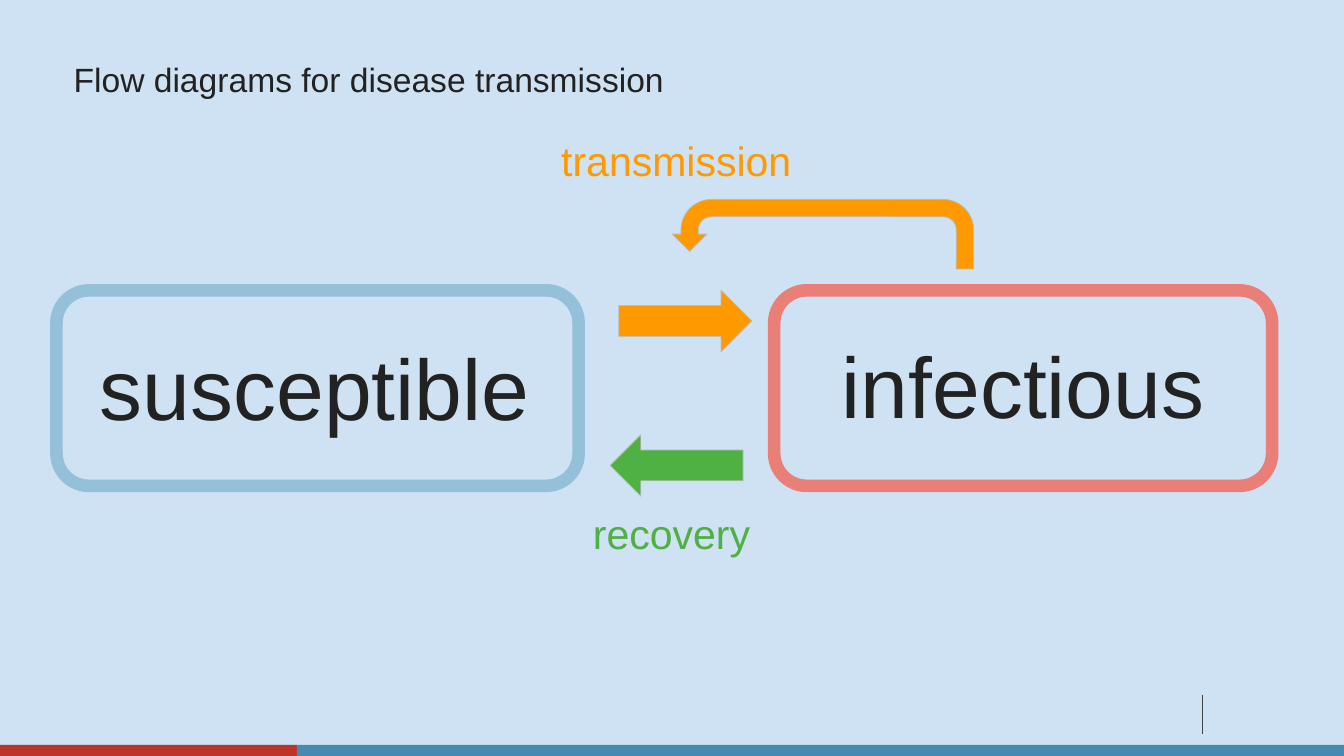
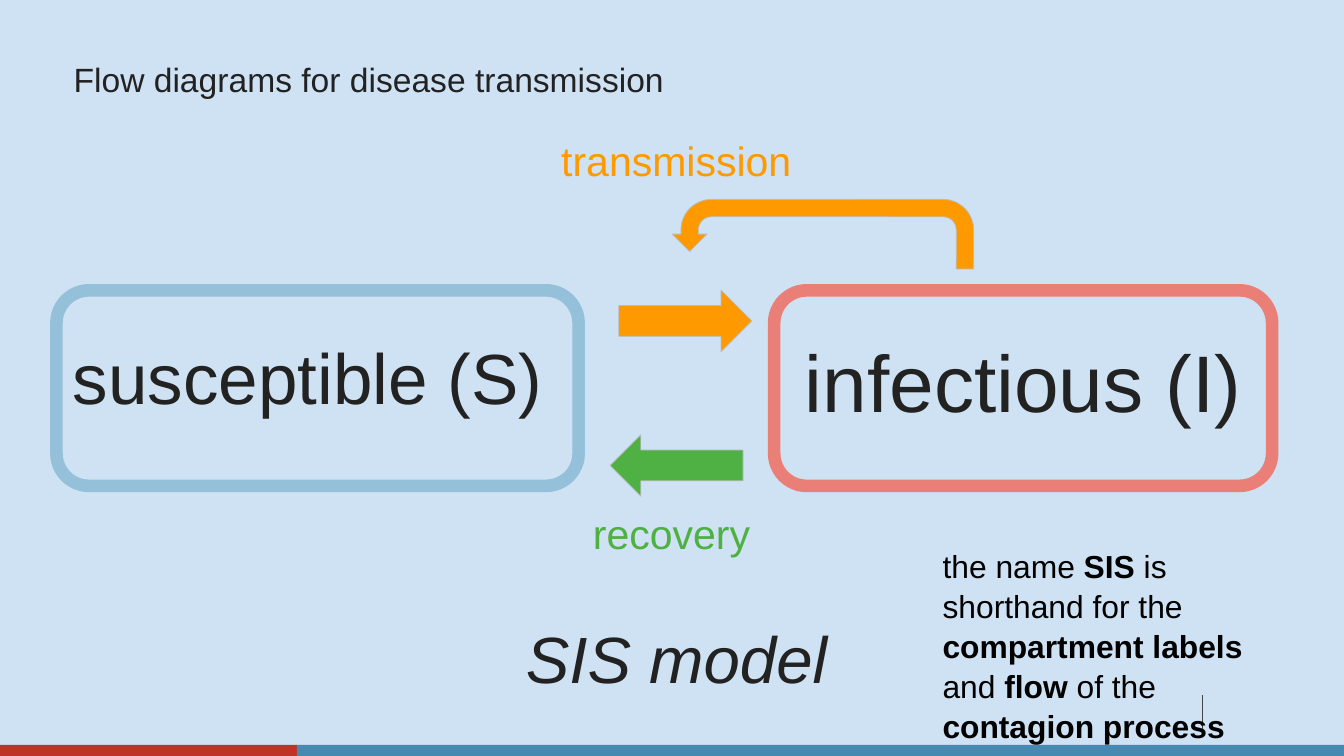
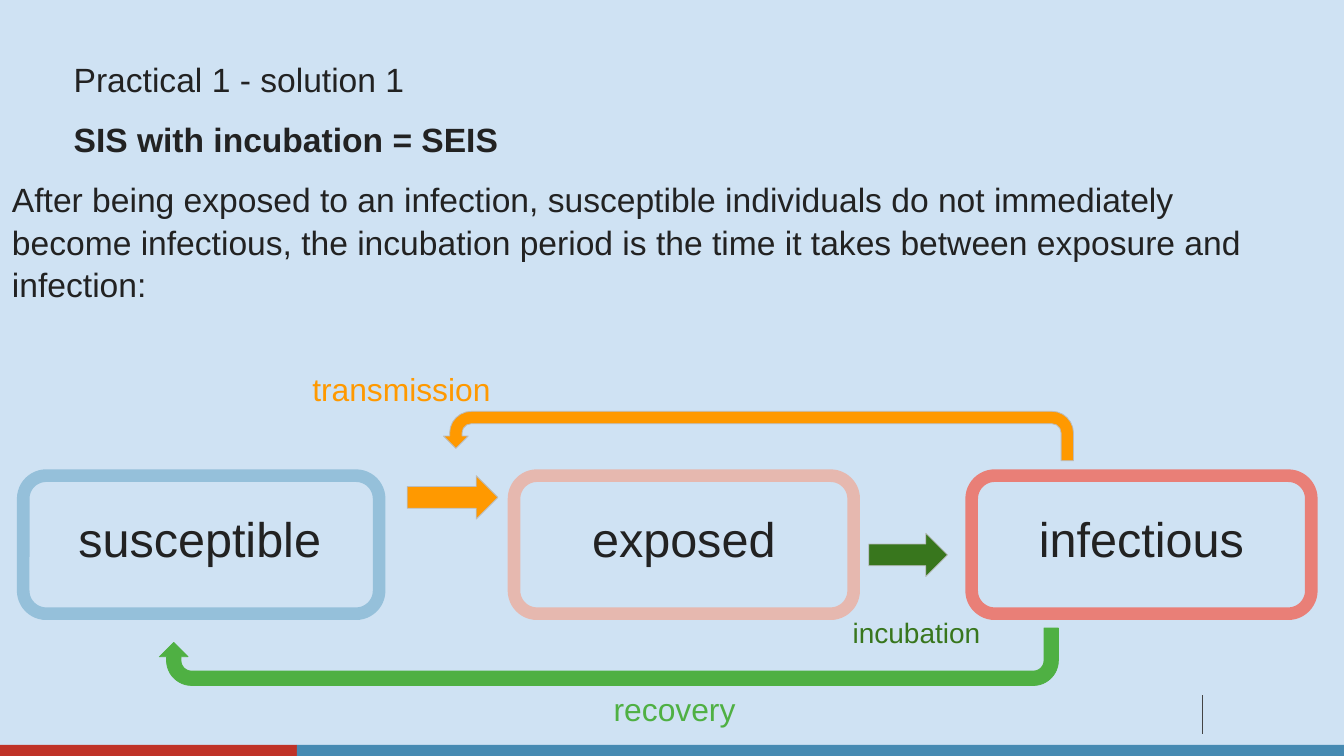
from lxml.etree import SubElement
from pptx import Presentation
from pptx.dml.color import RGBColor
from pptx.enum.shapes import MSO_CONNECTOR as CONNECTOR, MSO_SHAPE as SHAPE
from pptx.enum.text import MSO_ANCHOR as ANCHOR, PP_ALIGN as ALIGN
from pptx.oxml.ns import qn
from pptx.util import Pt

# Shared style
WIDTH, HEIGHT = 960, 540
FONT = "Arial"
BACKGROUND, INK, BLACK = "CFE2F3", "222222", "000000"
RED, BLUE, FOOTER_LINE = "BF3227", "468AB2", "444444"
SUSCEPTIBLE, EXPOSED, INFECTIOUS = "95C0DA", "E6B8AF", "E97F77"
TRANSMISSION, RECOVERY, INCUBATION = "FF9900", "4FB043", "38761D"
ARROW_EDGE = "BABCBE"
LABEL_INSETS = (7.2, 7.2, 7.2, 7.2)
BODY_INSETS = (0, 5, 9.5, 5)
U_TURN = (0.25, 0.25, 0.25, 0.4375, 0.75)


def color(hex_code):
    return RGBColor.from_string(hex_code)


def points(values):
    return [Pt(value) for value in values]


def add_text(slide, box, content, *, size=24, ink=INK, bold=False, italic=False,
             align=ALIGN.LEFT, anchor=ANCHOR.TOP, insets=LABEL_INSETS, spacing=1.05):
    """Add a text box; content is a string or a list of (text, bold) runs."""
    frame = slide.shapes.add_textbox(*points(box)).text_frame
    frame.word_wrap = True
    frame.vertical_anchor = anchor
    (frame.margin_left, frame.margin_top,
     frame.margin_right, frame.margin_bottom) = points(insets)
    paragraph = frame.paragraphs[0]
    paragraph.alignment = align
    paragraph.line_spacing = spacing
    runs = [(content, bold)] if isinstance(content, str) else content
    for text, is_bold in runs:
        run = paragraph.add_run()
        run.text = text
        font = run.font
        font.name, font.size = FONT, Pt(size)
        font.bold, font.italic = is_bold, italic
        font.color.rgb = color(ink)


def add_shape(slide, kind, box, *, fill=None, line=None, weight=0.56, adjustments=()):
    shape = slide.shapes.add_shape(kind, *points(box))
    shape.shadow.inherit = False
    if fill:
        shape.fill.solid()
        shape.fill.fore_color.rgb = color(fill)
    else:
        shape.fill.background()
    if line:
        shape.line.color.rgb = color(line)
        shape.line.width = Pt(weight)
    else:
        shape.line.fill.background()
    for index, value in enumerate(adjustments):
        shape.adjustments[index] = value
    return shape


def add_arrow(slide, box, fill, kind=SHAPE.RIGHT_ARROW):
    add_shape(slide, kind, box, fill=fill, line=ARROW_EDGE)


def add_return_arrow(slide, box, fill, line=ARROW_EDGE, below=False):
    """Bent arrow running from right to left, above or below the boxes."""
    shape = add_shape(slide, SHAPE.U_TURN_ARROW, box, fill=fill, line=line,
                      adjustments=U_TURN)
    if below:
        shape.rotation = 180
    else:
        shape.element.spPr.find(qn("a:xfrm")).set("flipH", "1")


def add_compartment(slide, box, outline, label, size, label_top, shift=0):
    left, _, width, height = box
    add_shape(slide, SHAPE.ROUNDED_RECTANGLE, box, line=outline, weight=9,
              adjustments=[0.1667])
    add_text(slide, (left + shift, label_top, width, height / 2), label,
             size=size, align=ALIGN.CENTER)


def add_slide(presentation, title):
    slide = presentation.slides.add_slide(presentation.slide_layouts[6])
    slide.background.fill.solid()
    slide.background.fill.fore_color.rgb = color(BACKGROUND)
    # Footer line and bands
    line = slide.shapes.add_connector(CONNECTOR.STRAIGHT, *points((859, 496.5, 859, 524)))
    line.line.color.rgb = color(FOOTER_LINE)
    line.line.width = Pt(0.56)
    SubElement(line.element.spPr, qn("a:effectLst"))
    split, top = 212, 532
    add_shape(slide, SHAPE.RECTANGLE, (0, top, split, HEIGHT - top), fill=RED)
    add_shape(slide, SHAPE.RECTANGLE, (split, top, WIDTH - split, HEIGHT - top), fill=BLUE)
    # Title
    add_text(slide, (52.6, 28.8, 854.6, 58.3), title, anchor=ANCHOR.MIDDLE,
             insets=BODY_INSETS, spacing=0.9)
    return slide


def add_sis_diagram(slide, susceptible, infectious):
    """Two compartments; each argument holds label, size, label top and shift."""
    top, height = 207.4, 139.7
    add_compartment(slide, (40.3, top, 373, height), SUSCEPTIBLE, *susceptible)
    add_compartment(slide, (553, top, 355.7, height), INFECTIOUS, *infectious)
    add_arrow(slide, (442, 207.3, 95, 43.9), TRANSMISSION)
    add_arrow(slide, (435.8, 310.5, 95, 43.9), RECOVERY, SHAPE.LEFT_ARROW)
    add_return_arrow(slide, (480.2, 142.4, 215.3, 49.7), TRANSMISSION)
    add_text(slide, (393.8, 87.8, 191.5, 50.4), "transmission", size=29.3, ink=TRANSMISSION)
    add_text(slide, (416.4, 354.3, 146, 50.4), "recovery", size=29.3, ink=RECOVERY)


def add_seis_diagram(slide):
    top, height = 339.8, 98.6
    compartments = [
        (16.6, 254.2, SUSCEPTIBLE, "susceptible", -1),
        (367.2, 242.6, EXPOSED, "exposed", 0),
        (694.1, 242.6, INFECTIOUS, "infectious", 0),
    ]
    for left, width, outline, label, shift in compartments:
        add_compartment(slide, (left, top, width, height), outline, label, 34.7, 354, shift)
    # Transmission
    add_arrow(slide, (290.9, top, 64.8, 31), TRANSMISSION)
    add_return_arrow(slide, (316.8, 293.8, 450, 35.3), TRANSMISSION)
    add_text(slide, (216, 255.6, 172, 41.8), "transmission", size=22.7, ink=TRANSMISSION)
    # Incubation
    add_arrow(slide, (620.6, 380.9, 56.2, 31), INCUBATION)
    add_text(slide, (601.9, 431.3, 152.6, 38.9), "incubation", size=20, ink=INCUBATION)
    # Recovery
    add_return_arrow(slide, (113.8, 448.6, 642.2, 41), RECOVERY, line=RECOVERY, below=True)
    add_text(slide, (431.3, 483.8, 139, 41.8), "recovery", size=22.7, ink=RECOVERY)


def main():
    presentation = Presentation()
    presentation.slide_width, presentation.slide_height = Pt(WIDTH), Pt(HEIGHT)
    flow_title = "Flow diagrams for disease transmission"

    # Flow diagram
    slide = add_slide(presentation, flow_title)
    add_sis_diagram(slide, ("susceptible", 61.3, 228.2, -2), ("infectious", 61.3, 226.8))

    # Named model
    slide = add_slide(presentation, flow_title)
    add_sis_diagram(slide, ("susceptible (S)", 50.7, 228.2, -7),
                    ("infectious (I)", 57.3, 226.8))
    add_text(slide, (368.6, 431.3, 240.5, 71.3), "SIS model", size=46.7, italic=True)
    add_text(slide, (663.8, 379.4, 256.3, 157), [
        ("the name ", False), ("SIS", True), (" is shorthand for the ", False),
        ("compartment labels", True), (" and ", False), ("flow", True),
        (" of the ", False), ("contagion process", True),
    ], size=22.7, ink=BLACK, insets=(9.5, 9.5, 9.5, 9.5))

    # Practical solution
    slide = add_slide(presentation, "Practical 1 - solution 1")
    add_text(slide, (52.6, 78.5, 854.6, 33.8), "SIS with incubation = SEIS",
             bold=True, insets=BODY_INSETS)
    add_text(slide, (8.6, 121.7, 928, 113),
             "After being exposed to an infection, susceptible individuals do not "
             "immediately become infectious, the incubation period is the time it "
             "takes between exposure and infection:", insets=BODY_INSETS)
    add_seis_diagram(slide)

    presentation.save("out.pptx")


if __name__ == "__main__":
    main()
